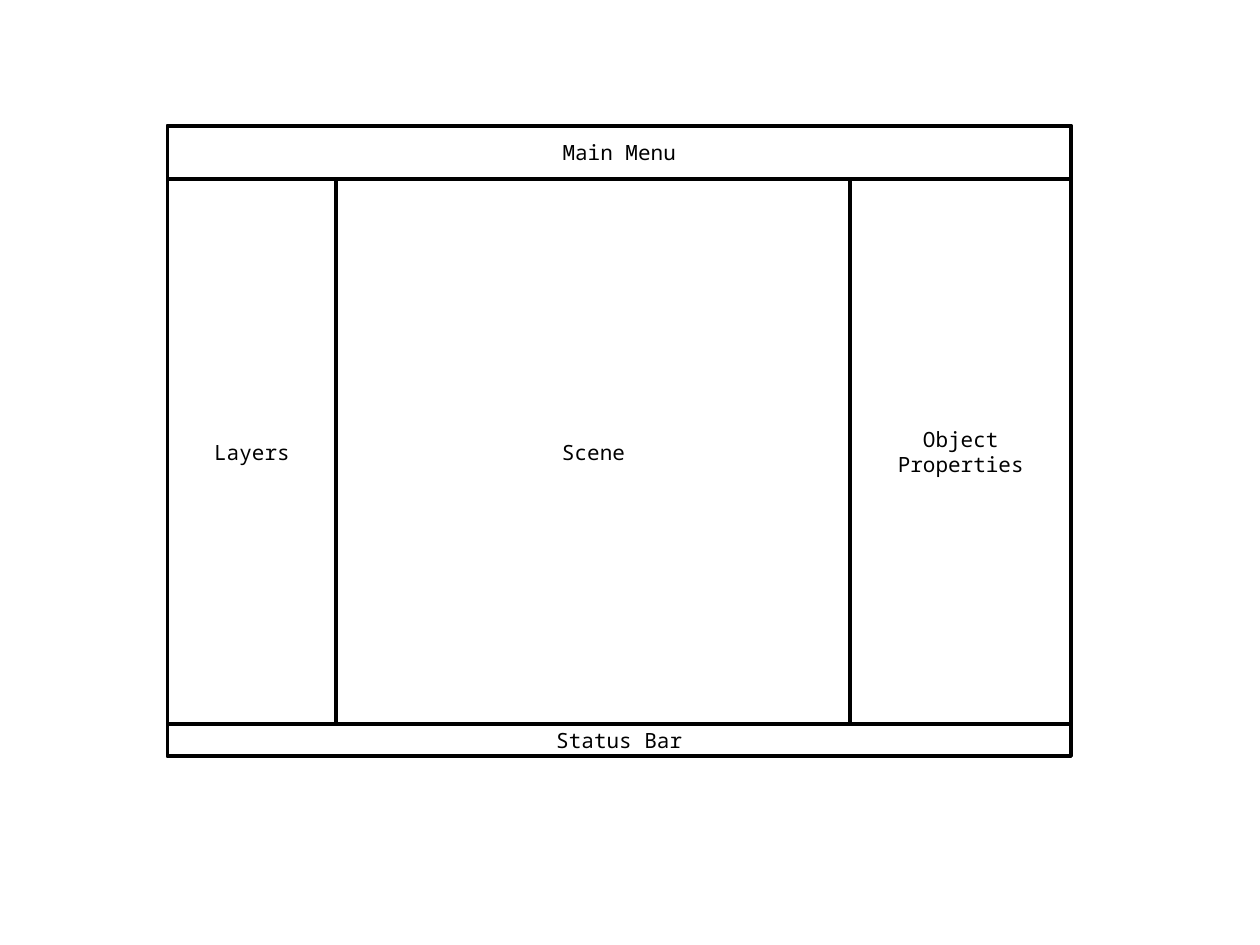
from pptx import Presentation
from pptx.dml.color import RGBColor
from pptx.enum.shapes import MSO_SHAPE
from pptx.enum.text import MSO_ANCHOR, PP_ALIGN
from pptx.util import Inches, Pt

RECT = MSO_SHAPE.RECTANGLE
MIDDLE = MSO_ANCHOR.MIDDLE
CENTER = PP_ALIGN.CENTER
BLANK_LAYOUT = 6
FONT = "Noto Sans Mono"
BLACK = "000000"

# Application window and its panels, in inches
LEFT, TOP, WIDTH, HEIGHT = 1.33, 1, 7.17, 5
MENU_H, STATUS_H = 0.42, 0.25
LAYERS_W, PROPERTIES_W = 1.34, 1.75


def color(hex_code):
    return RGBColor.from_string(hex_code)


def add_text(s, text, size=12, font=FONT, fill=BLACK, align=CENTER):
    """Write one paragraph per line of text, without wrapping."""
    tf = s.text_frame
    tf.word_wrap = False
    tf.vertical_anchor = MIDDLE
    for i, line in enumerate(text.split("\n")):
        p = tf.add_paragraph() if i else tf.paragraphs[0]
        p.alignment = align
        r = p.add_run()
        r.text = line
        r.font.size = Pt(size)
        r.font.name = font
        r.font.color.rgb = color(fill)


def add_panel(slide, x, y, w, h, text=None):
    s = slide.shapes.add_shape(RECT, Inches(x), Inches(y), Inches(w), Inches(h))
    s.shadow.inherit = False
    s.fill.background()
    s.line.color.rgb = color(BLACK)
    s.line.width = Pt(2.25)
    if text:
        add_text(s, text)


def main():
    prs = Presentation()
    prs.slide_width, prs.slide_height = Inches(10), Inches(7.5)
    slide = prs.slides.add_slide(prs.slide_layouts[BLANK_LAYOUT])

    body_top = TOP + MENU_H
    body_h = HEIGHT - MENU_H - STATUS_H
    scene_x = LEFT + LAYERS_W
    properties_x = LEFT + WIDTH - PROPERTIES_W

    add_panel(slide, LEFT, TOP, WIDTH, HEIGHT)
    add_panel(slide, LEFT, TOP, WIDTH, MENU_H, "Main Menu")
    add_panel(slide, LEFT, body_top + body_h, WIDTH, STATUS_H, "Status Bar")
    add_panel(slide, LEFT, body_top, LAYERS_W, body_h, "Layers")
    add_panel(slide, properties_x, body_top, PROPERTIES_W, body_h,
              "Object\nProperties")
    add_panel(slide, scene_x, body_top, properties_x - scene_x, body_h, "Scene")

    prs.save("out.pptx")


if __name__ == "__main__":
    main()
